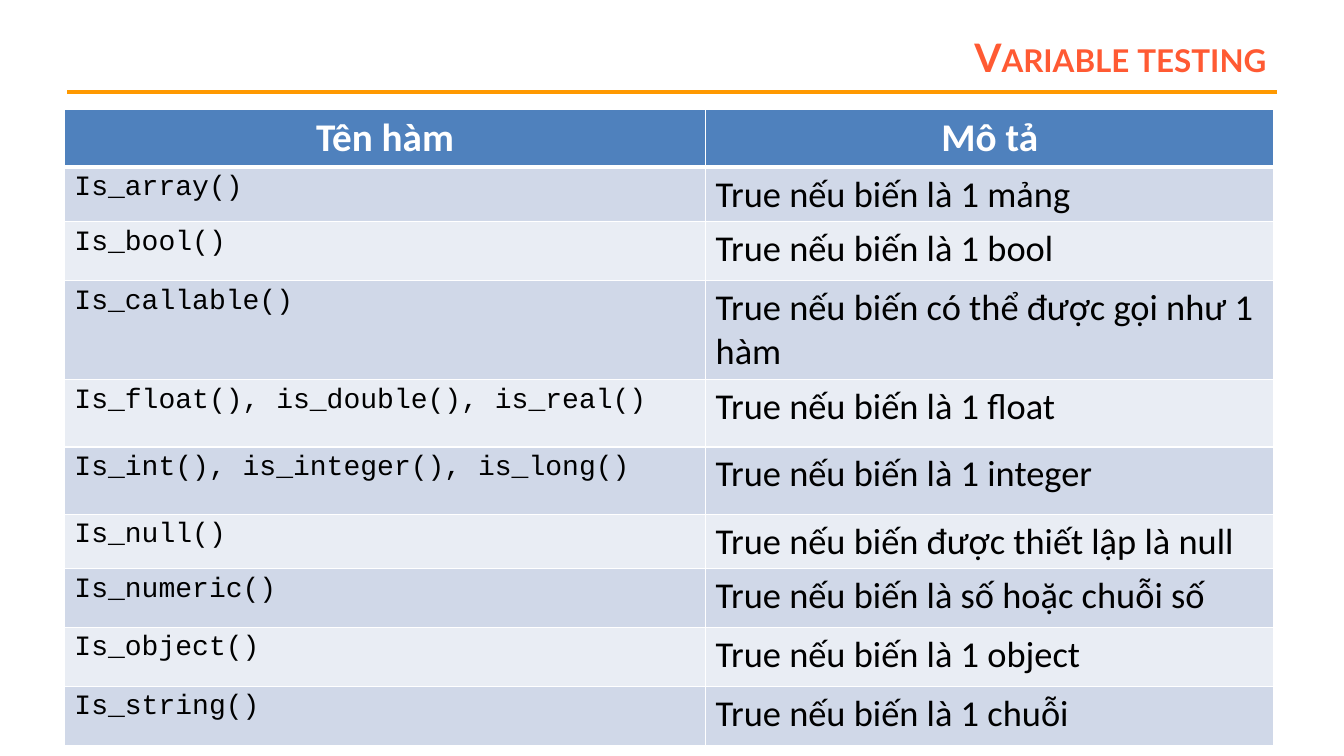
import pptx
import pptx.util
import pptx.dml.color
import pptx.enum.shapes
import pptx.enum.text
import pptx.oxml
import pptx.oxml.ns

Pt = pptx.util.Pt
ALIGN = pptx.enum.text.PP_ALIGN
ANCHOR = pptx.enum.text.MSO_ANCHOR

HEAD = ("Tên hàm", "Mô tả")
TESTS = [
    ("Is_array()", "True nếu biến là 1 mảng", 38.5),
    ("Is_bool()", "True nếu biến là 1 bool", 42),
    ("Is_callable()", "True nếu biến có thể được gọi như 1 hàm", 70.5),
    ("Is_float(), is_double(), is_real()", "True nếu biến là 1 float", 48),
    ("Is_int(), is_integer(), is_long()", "True nếu biến là 1 integer", 48),
    ("Is_null()", "True nếu biến được thiết lập là null", 38.5),
    ("Is_numeric()", "True nếu biến là số hoặc chuỗi số", 42),
    ("Is_object()", "True nếu biến là 1 object", 42),
    ("Is_string()", "True nếu biến là 1 chuỗi", 42),
]
HEAD_HIGH = 40.5
WIDTHS = (458, 406)
BANDS = ("D0D8E8", "E9EDF4")

TITLE = {"name": "Lato", "size": Pt(28), "bold": True}
HEADER = {"name": "Calibri", "size": Pt(28), "bold": True}
CODE = {"name": "Courier New", "size": Pt(20), "bold": False}
BODY = {"name": "Calibri", "size": Pt(26), "bold": False}


def color(code):
    return pptx.dml.color.RGBColor.from_string(code)


def write(frame, text, style, ink, align):
    para = frame.paragraphs[0]
    para.alignment = align
    run = para.add_run()
    run.text = text
    for key, value in style.items():
        setattr(run.font, key, value)
    run.font.color.rgb = color(ink)
    return run


def add_title(slide, left, top, width, height):
    title = slide.shapes.title
    box = {"left": left, "top": top, "width": width, "height": height}
    for key, value in box.items():
        setattr(title, key, Pt(value))
    frame = title.text_frame
    frame.word_wrap = True
    frame.vertical_anchor = ANCHOR.MIDDLE
    run = write(frame, "Variable testing", TITLE, "FF5A33", ALIGN.RIGHT)
    run.font._element.set("cap", "small")


def add_rule(slide, left, top, width):
    rule = slide.shapes.add_connector(
        pptx.enum.shapes.MSO_CONNECTOR.STRAIGHT,
        Pt(left), Pt(top), Pt(left + width), Pt(top))
    rule.line.color.rgb = color("FF9900")
    rule.line.width = Pt(3)
    rule._element.spPr.append(pptx.oxml.parse_xml(
        f'<a:effectLst {pptx.oxml.ns.nsdecls("a")}/>'))


def edge(cell, low):
    """Draw white borders, with the bottom one `low` points wide."""
    props = cell._tc.get_or_add_tcPr()
    for place, (side, wide) in enumerate(zip("LRTB", (1, 1, 1, low))):
        props.insert(place, pptx.oxml.parse_xml(
            f'<a:ln{side} {pptx.oxml.ns.nsdecls("a")} w="{Pt(wide)}">'
            '<a:solidFill><a:srgbClr val="FFFFFF"/></a:solidFill>'
            f'</a:ln{side}>'))


def fill_row(row, texts, high, styles, ink, back, align, low):
    row.height = Pt(high)
    for cell, text, style in zip(row.cells, texts, styles):
        write(cell.text_frame, text, style, ink, align)
        cell.fill.solid()
        cell.fill.fore_color.rgb = color(back)
        edge(cell, low)


def add_grid(slide, left, top):
    high = HEAD_HIGH + sum(test[2] for test in TESTS)
    table = slide.shapes.add_table(
        len(TESTS) + 1, len(WIDTHS),
        Pt(left), Pt(top), Pt(sum(WIDTHS)), Pt(high)).table
    for column, width in zip(table.columns, WIDTHS):
        column.width = Pt(width)
    rows = list(table.rows)
    fill_row(rows[0], HEAD, HEAD_HIGH, (HEADER, HEADER),
             "FFFFFF", "4F81BD", ALIGN.CENTER, 3)
    for count, (name, about, high) in enumerate(TESTS):
        fill_row(rows[count + 1], (name, about), high, (CODE, BODY),
                 "000000", BANDS[count % 2], ALIGN.LEFT, 1)


def main():
    deck = pptx.Presentation()
    deck.slide_width, deck.slide_height = Pt(960), Pt(540)
    slide = deck.slides.add_slide(deck.slide_layouts.get_by_name("Title Only"))
    add_rule(slide, 48, 66, 864)
    add_title(slide, 216, 21.5, 696, 38)
    add_grid(slide, 46, 78)
    deck.save("out.pptx")


if __name__ == "__main__":
    main()
